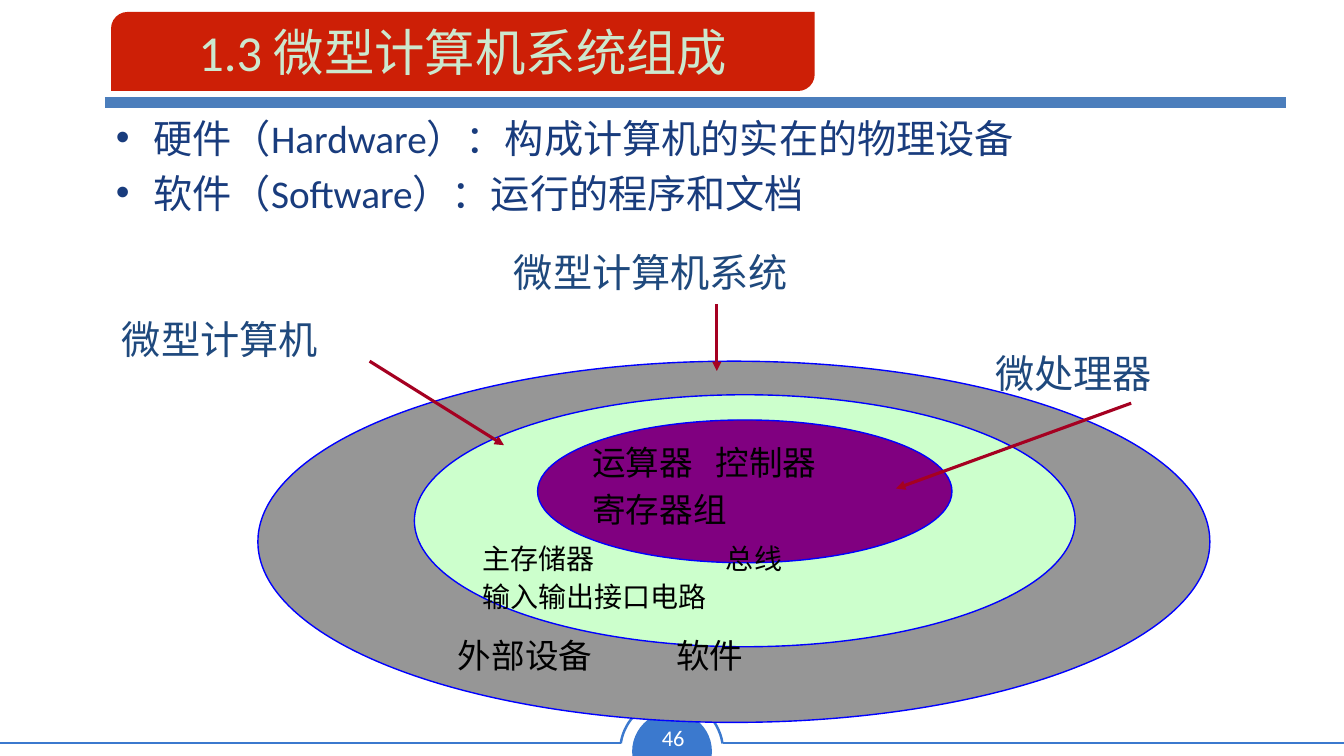
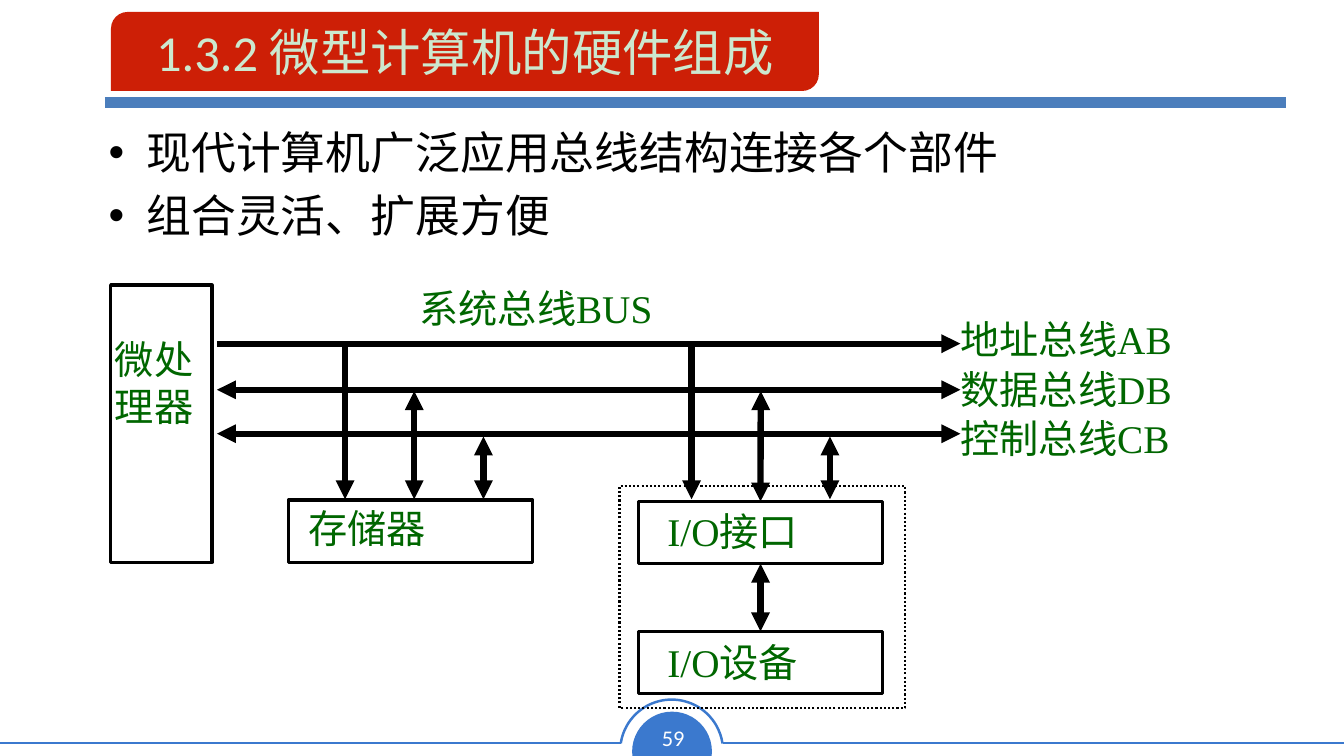
from lxml import etree
from pptx import Presentation
from pptx.dml.color import RGBColor
from pptx.enum.dml import MSO_LINE
from pptx.enum.shapes import MSO_CONNECTOR, MSO_SHAPE
from pptx.enum.text import MSO_ANCHOR, PP_ALIGN
from pptx.oxml.ns import qn
from pptx.util import Pt

STRAIGHT = MSO_CONNECTOR.STRAIGHT
OVAL, RECT = MSO_SHAPE.OVAL, MSO_SHAPE.RECTANGLE
CHORD, ARC = MSO_SHAPE.CHORD, MSO_SHAPE.ARC
BANNER = MSO_SHAPE.ROUND_2_DIAG_RECTANGLE
CENTER, MIDDLE, TOP = PP_ALIGN.CENTER, MSO_ANCHOR.MIDDLE, MSO_ANCHOR.TOP
DOTTED = MSO_LINE.ROUND_DOT

WHITE, BLACK, PALE = "FFFFFF", "000000", "CCE8CF"
RED, BLUE, RULE = "CD1F06", "3B79CE", "4B7EBC"
NAVY, LABEL, GREEN, CRIMSON, OUTLINE = "193C7D", "1F497D", "006600", "A50021", "0000FF"
SANS, SERIF, CJK = "Calibri", "Times New Roman", "Noto Sans CJK SC"

PAGE_W, PAGE_H = 960, 540


def rgb(color):
    return RGBColor.from_string(color)


def add_child(parent, tag, **attrs):
    return etree.SubElement(parent, qn(tag), attrs)


def set_line(line, color, width):
    line.color.rgb = rgb(color)
    line.width = Pt(width)


# Text
def write(sp, paras, size, color, font, align=None, anchor=TOP, inset=None,
          bullet=False, wrap=True):
    """Fill a shape; each paragraph is (text, format values, tab stop or None)."""
    tf = sp.text_frame
    tf.word_wrap = wrap
    tf.vertical_anchor = anchor
    if inset is not None:
        for side in ("left", "top", "right", "bottom"):
            setattr(tf, "margin_" + side, Pt(inset))
    for i, (text, values, tab) in enumerate(paras):
        p = tf.paragraphs[0] if i == 0 else tf.add_paragraph()
        for name, value in {"alignment": align, **values}.items():
            setattr(p, name, value)
        pPr = p._p.get_or_add_pPr()
        if bullet:
            pPr.set("marL", str(Pt(27)))
            pPr.set("indent", str(-Pt(27)))
            add_child(pPr, "a:buFont", typeface="Arial")
            add_child(pPr, "a:buChar", char="•")
        if tab:
            add_child(add_child(pPr, "a:tabLst"), "a:tab", pos=str(Pt(tab)), algn="l")
        r = p.add_run()
        r.text = text
        for name, value in {"size": Pt(size), "name": font}.items():
            setattr(r.font, name, value)
        r.font.color.rgb = rgb(color)


def text_box(s, x, y, w, h, paras, size, color, font, **options):
    if isinstance(paras, str):
        paras = [(paras, {}, None)]
    sp = s.shapes.add_textbox(Pt(x), Pt(y), Pt(w), Pt(h))
    write(sp, paras, size, color, font, **options)


def bullets(s, x, y, w, h, lines, size, color):
    gap = {"space_before": Pt(size * 0.2)}
    paras = [(text, gap if i else {}, None) for i, text in enumerate(lines)]
    text_box(s, x, y, w, h, paras, size, color, SANS, bullet=True)


# Shapes and lines
def shape(s, kind, x, y, w, h, fill=None, line=None, width=1, adj=()):
    sp = s.shapes.add_shape(kind, Pt(x), Pt(y), Pt(w), Pt(h))
    sp.shadow.inherit = False
    for i, value in enumerate(adj):
        sp.adjustments[i] = value
    if fill:
        sp.fill.solid()
        sp.fill.fore_color.rgb = rgb(fill)
    else:
        sp.fill.background()
    if line:
        set_line(sp.line, line, width)
    else:
        sp.line.fill.background()
    return sp


def connector(s, x1, y1, x2, y2, color, width, ends=()):
    c = s.shapes.add_connector(STRAIGHT, Pt(x1), Pt(y1), Pt(x2), Pt(y2))
    set_line(c.line, color, width)
    for end in ends:
        add_child(c.line._get_or_add_ln(), "a:" + end, type="triangle")
    add_child(c._element.spPr, "a:effectLst")
    return c


ONE_WAY = ("tailEnd",)
TWO_WAY = ("headEnd", "tailEnd")


# Shared slide frame
def new_slide(prs, number):
    s = prs.slides.add_slide(prs.slide_layouts[6])
    s.background.fill.solid()
    s.background.fill.fore_color.rgb = rgb(WHITE)
    badge = shape(s, CHORD, 451.5, 508.3, 57, 57, fill=BLUE, adj=(35.772, 153.29))
    badge.rotation = 112.4
    for x1, x2 in ((516.5, PAGE_W), (0, 443.5)):
        connector(s, x1, 530.6, x2, 530.6, BLUE, 1.77)
    shape(s, ARC, 443, 499.7, 73.5, 73.5, line=BLUE, width=1.77, adj=(113.17, 210.975))
    text_box(s, 464.4, 514, 33, 26.6, number, 16, WHITE, SANS, align=CENTER, wrap=False)
    connector(s, 75, 73.2, 918.5, 73.2, RULE, 8)
    return s


def title(s, text, width):
    sp = shape(s, BANNER, 79.3, 8.6, width, 56.4, fill=RED, adj=(0.209, 0))
    write(sp, [(text, {}, None)], 36, PALE, SANS, align=CENTER, anchor=MIDDLE)


def system_slide(prs):
    s = new_slide(prs, "46")

    # Nested layers
    for x, y, w, h, fill in ((184.2, 258, 680, 258, "969696"),
                             (296, 282, 472, 180, "CCFFCC"),
                             (384, 300, 296, 102, "800080")):
        shape(s, OVAL, x, y, w, h, fill=fill, line=OUTLINE)
    text_box(s, 416, 312, 240, 71,
             [("运算器\t控制器", {}, 88),
              ("寄存器组", {"space_before": Pt(4.8)}, None)], 24, BLACK, SERIF)
    text_box(s, 337.5, 383, 392, 60,
             [("主存储器\t总线", {}, 174),
              ("输入输出接口电路", {"space_before": Pt(10), "line_spacing": 0.7}, None)],
             20, BLACK, CJK)
    text_box(s, 320, 450, 432, 36, [("外部设备\t软件", {}, 156)], 24, BLACK, CJK)

    # Layer names with pointers
    for text, x, y, w, pointer in (
            ("微处理器", 704, 246, 216, (808, 288, 640, 349)),
            ("微型计算机", 80, 222, 224, (264, 258, 360, 318)),
            ("微型计算机系统", 360, 174, 312, (512, 217.5, 512, 265))):
        connector(s, *pointer, CRIMSON, 2.25, ONE_WAY)
        text_box(s, x, y, w, 41, text, 28, LABEL, SERIF)

    bullets(s, 75.6, 77.8, 710, 90,
            ["硬件（Hardware）：构成计算机的实在的物理设备",
             "软件（Software）：运行的程序和文档"], 28, NAVY)
    title(s, "1.3 微型计算机系统组成", 502.6)


def hardware_slide(prs):
    s = new_slide(prs, "59")
    bullets(s, 70.6, 85.7, 872, 96,
            ["现代计算机广泛应用总线结构连接各个部件", "组合灵活、扩展方便"], 32, BLACK)

    # Labels
    for text, x, y, w, h in (("控制总线CB", 685.5, 295.2, 248, 40),
                             ("数据总线DB", 685.5, 260, 248, 40),
                             ("地址总线AB", 685.5, 224.6, 248, 40),
                             ("微处理器", 81.4, 239, 69, 192),
                             ("I/O设备", 476, 455, 148, 38.5),
                             ("I/O接口", 476, 362, 148, 38.5),
                             ("存储器", 219.6, 359.3, 148, 38.5),
                             ("系统总线BUS", 299, 202.3, 270, 40)):
        text_box(s, x, y, w, h, text, 28, GREEN, SERIF, inset=0.7)

    # Units
    group = shape(s, RECT, 442.5, 347, 204, 158.7, line=BLACK, width=1.5)
    group.line.dash_style = DOTTED
    shape(s, RECT, 79, 203.6, 72.5, 198.2, line=BLACK, width=2.25)
    memory, interface, device = [
        shape(s, RECT, x, y, 174.5, 44.5, line=BLACK, width=2.25)
        for x, y in ((206, 357.2), (456, 358.2), (456, 451))]

    # Buses, and one drop from each bus to the memory and the interface
    buses = ((245.5, ONE_WAY), (278.4, TWO_WAY), (309.8, TWO_WAY))
    for y, ends in buses:
        connector(s, 155, y, 686, y, BLACK, 4.5, ends)
    for unit, first in ((memory, 246.5), (interface, 494)):
        for i, (y, ends) in enumerate(buses):
            x = first + 49.4 * i
            drop = connector(s, x, y + i, x, 356.6, BLACK, 4.5, ends)
            if unit is interface and i == 1:
                drop.end_connect(interface, 0)
    link = connector(s, 543.25, 402.7, 543.25, 451, BLACK, 4.5, TWO_WAY)
    link.begin_connect(interface, 2)
    link.end_connect(device, 0)

    title(s, "1.3.2 微型计算机的硬件组成", 505.6)


def main():
    prs = Presentation()
    prs.slide_width, prs.slide_height = Pt(PAGE_W), Pt(PAGE_H)
    system_slide(prs)
    hardware_slide(prs)
    prs.save("out.pptx")


if __name__ == "__main__":
    main()
